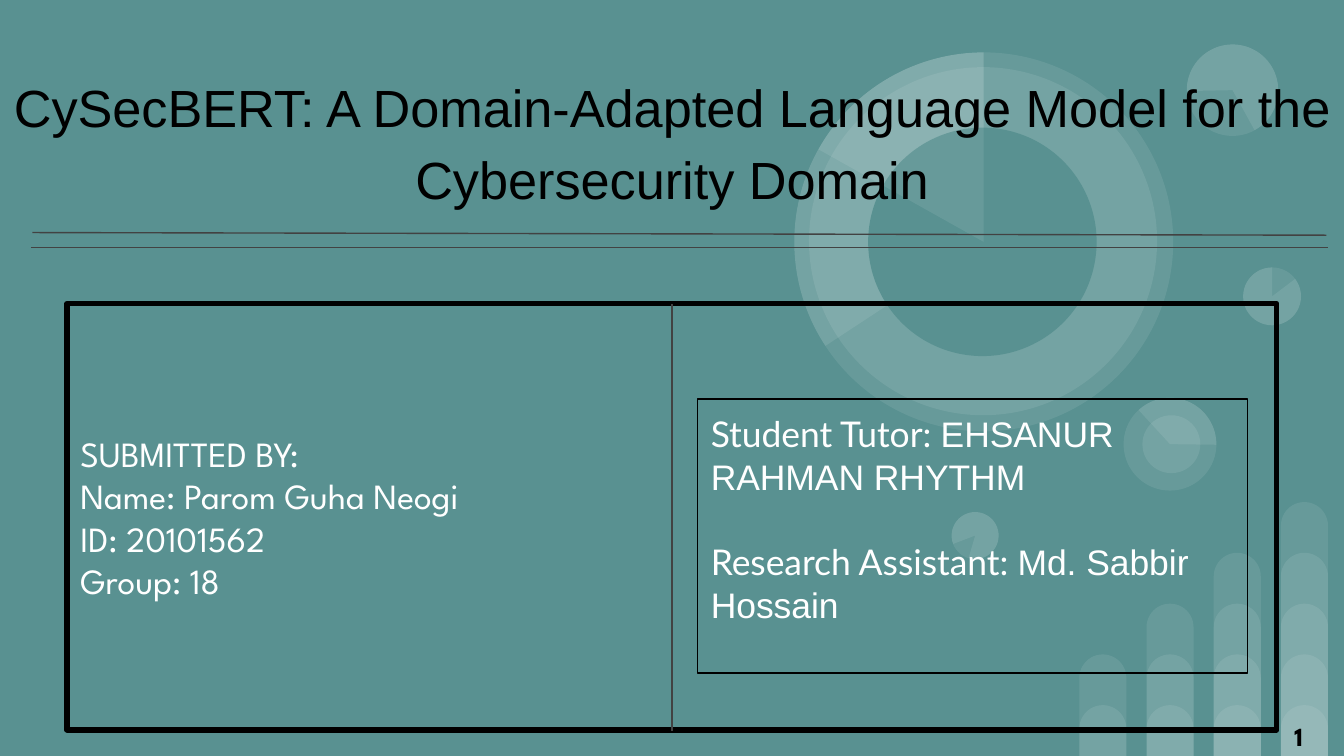
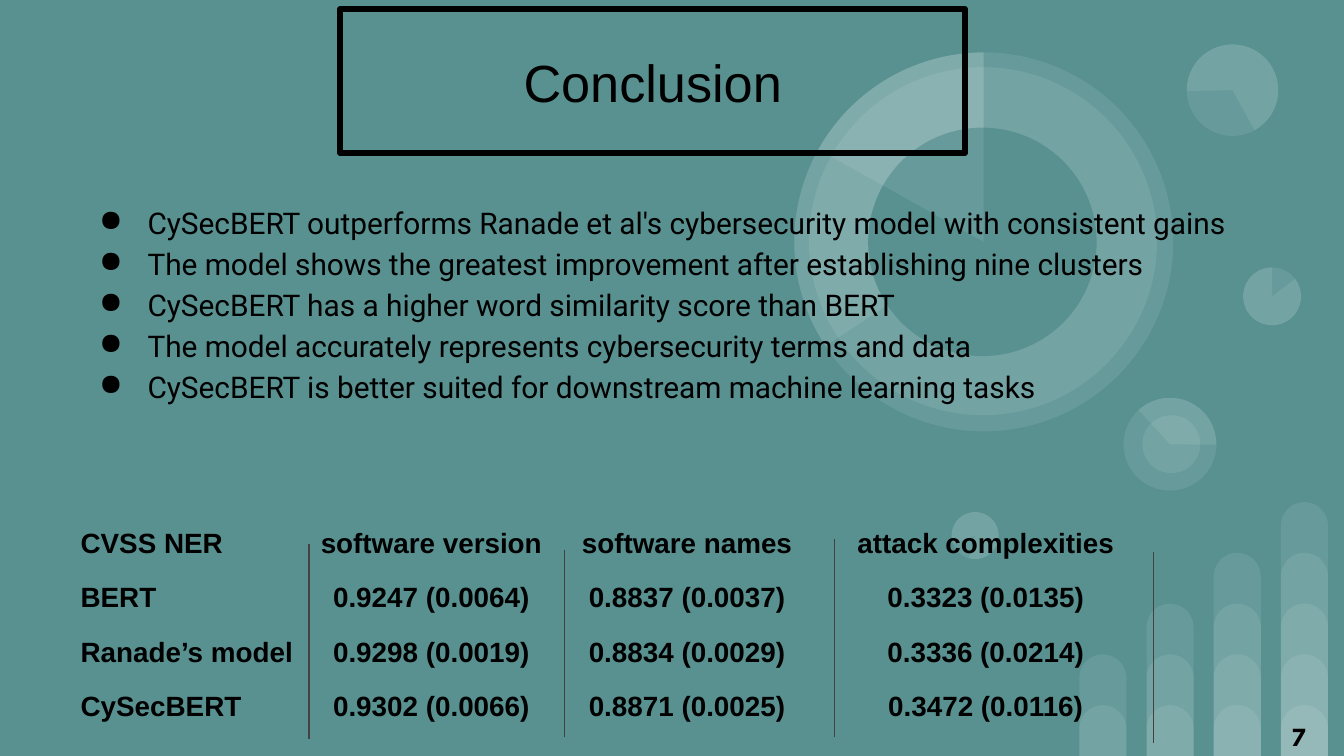
import pptx
import pptx.chart.data
import pptx.dml.color
import pptx.enum.shapes
import pptx.enum.text
import pptx.oxml
import pptx.oxml.ns
import pptx.util
from lxml import etree

Pt = pptx.util.Pt
SHAPE = pptx.enum.shapes.MSO_SHAPE
ALIGN = pptx.enum.text.PP_ALIGN
ANCHOR = pptx.enum.text.MSO_ANCHOR
RGB = pptx.dml.color.RGBColor.from_string
qn = pptx.oxml.ns.qn

COLORS = {"teal": "599191", "white": "FFFFFF", "black": "000000", "rule": "424242"}
TITLE = {"name": "Arial", "size": Pt(28)}
CREDIT = {"name": "League Spartan", "size": Pt(19)}
TUTOR = {"name": "Lato", "size": Pt(19)}
PAGE_NUMBER = {"name": "League Spartan", "size": Pt(14), "bold": True}
FINDING = {"name": "Roboto", "size": Pt(16)}
SCORE = {"name": "Arial", "size": Pt(14.9), "bold": True}
PAGE_NUMBER_BOX = (682, 378.7, 27.4, 31.7)


def add_text(slide, box, paragraphs, font, color="black", outline=None,
             align=ALIGN.LEFT, anchor=ANCHOR.MIDDLE, **spacing):
    """Add a text box; each paragraph is a list of (text, font changes) runs."""
    text_box = slide.shapes.add_textbox(*map(Pt, box))
    if outline:
        text_box.line.color.rgb = RGB(COLORS["black"])
        text_box.line.width = Pt(outline)
    frame = text_box.text_frame
    frame.word_wrap = True
    frame.vertical_anchor = anchor
    for side in ("left", "top", "right", "bottom"):
        setattr(frame, f"margin_{side}", Pt(7.2))
    for index, runs in enumerate(paragraphs):
        paragraph = frame.add_paragraph() if index else frame.paragraphs[0]
        paragraph.alignment = align
        for key, value in spacing.items():
            setattr(paragraph, key, value)
        for text, changes in runs:
            run = paragraph.add_run()
            run.text = text
            run.font.color.rgb = RGB(COLORS[color])
            for key, value in {**font, **changes}.items():
                setattr(run.font, key, value)
    return frame


def add_rule(slide, x1, y1, x2, y2):
    rule = slide.shapes.add_connector(
        pptx.enum.shapes.MSO_CONNECTOR.STRAIGHT, Pt(x1), Pt(y1), Pt(x2), Pt(y2))
    rule.line.color.rgb = RGB(COLORS["rule"])
    rule.line.width = Pt(0.75)
    etree.SubElement(rule.element.spPr, qn("a:effectLst"))


prs = pptx.Presentation()
prs.slide_width, prs.slide_height = Pt(720), Pt(405)
blank = prs.slide_layouts[6]
cover = prs.slides.add_slide(blank)
conclusion = prs.slides.add_slide(blank)

# Shared backdrop: drawn once, then moved to the master
master = prs.slide_master
master.background.fill.solid()
master.background.fill.fore_color.rgb = RGB(COLORS["teal"])

bars = cover.shapes.add_group_shape()
for column in range(4):
    for level in range(1, column + 3):
        height = 27.2 * level
        bar = bars.shapes.add_shape(
            SHAPE.ROUND_2_SAME_RECTANGLE,
            Pt(578.2 + 36 * column), Pt(405 - height), Pt(25.2), Pt(height))
        bar.adjustments[0] = 0.5

ring = (425.5, 28.1, 203, 0)
ring_hole = (465.1, 68.4, 122.4, 34.1)
right_disc = (666, 143.3, 31, 0)
low_disc = (509.8, 274.3, 25.2, 196.2)
small_ring = (601.9, 213.1, 49.7, 90)
top_disc = (635.8, 23.8, 49, 215.9)
# Each disc is a full circle, or a wedge between two angles in degrees
discs = [
    (right_disc, None), (right_disc, (322.95, 270)),
    (low_disc, None), (low_disc, (322.95, 270)),
    (small_ring, None), (small_ring, (137.41, 270.77)),
    ((612, 222.5, 31, 90), None),
    (top_disc, None), (top_disc, (322.95, 205.23)),
    (ring, None), ((433.4, 36, 186.5, 34.1), None), (ring, (146.69, 270)),
    (ring_hole, None), (ring, (209.24, 270)),
]
circles = cover.shapes.add_group_shape()
for (left, top, size, rotation), wedge in discs:
    disc = circles.shapes.add_shape(SHAPE.PIE if wedge else SHAPE.OVAL,
                                    Pt(left), Pt(top), Pt(size), Pt(size))
    disc.rotation = rotation
    for index, angle in enumerate(wedge or ()):
        disc.adjustments[index] = angle * 0.6
    if (left, top, size, rotation) == ring_hole:
        disc.fill.solid()
        disc.fill.fore_color.rgb = RGB(COLORS["teal"])

for group in (bars, circles):
    for part in group.shapes:
        part.shadow.inherit = False
        part.line.fill.background()
        if part.fill.type is None:
            part.fill.solid()
            part.fill.fore_color.rgb = RGB(COLORS["white"])
            tint = part.element.spPr.find(".//" + qn("a:srgbClr"))
            etree.SubElement(tint, qn("a:alpha")).set("val", "9000")
    master.shapes.element.append(group.element)
for number, properties in enumerate(master.shapes.element.iter(qn("p:cNvPr")), 1):
    properties.set("id", str(number))

# Cover
add_text(cover, (0, 0, 720, 147.6),
         [[("CySecBERT: A Domain-Adapted Language Model for the Cybersecurity Domain", {})]],
         TITLE, align=ALIGN.CENTER, line_spacing=1.15)
credits = ["SUBMITTED BY:", "Name: Parom Guha Neogi", "ID: 20101562", "Group: 18"]
add_text(cover, (36, 162.7, 648, 228.3), [[(line, {})] for line in credits],
         CREDIT, "white", outline=3)
add_rule(cover, 17.3, 124.6, 710.6, 126)
add_rule(cover, 16.6, 132.5, 711.4, 132.5)
add_text(cover, PAGE_NUMBER_BOX, [[("1", {})]], PAGE_NUMBER, align=ALIGN.CENTER)
add_rule(cover, 360, 162.7, 360, 391.7)
arial = {"name": "Arial"}
tutors = add_text(
    cover, (373.7, 213.8, 294.5, 146.9),
    [[("Student Tutor: ", {}), ("EHSANUR RAHMAN RHYTHM", arial)],
     [("Research Assistant: ", {}), ("Md. Sabbir Hossain", arial)]],
    TUTOR, "white", outline=0.75, anchor=ANCHOR.TOP)
tutors.paragraphs[1].space_before = Pt(23)

# Conclusion
add_text(conclusion, (182.2, 5, 334.8, 77), [[("Conclusion", {})]],
         TITLE, outline=3, align=ALIGN.CENTER)
findings = [
    "CySecBERT outperforms Ranade et al's cybersecurity model with consistent gains",
    "The model shows the greatest improvement after establishing nine clusters",
    "CySecBERT has a higher word similarity score than BERT",
    "The model accurately represents cybersecurity terms and data",
    "CySecBERT is better suited for downstream machine learning tasks",
]
finding_list = add_text(conclusion, (36, 99.4, 645.8, 125), [[(line, {})] for line in findings],
                        FINDING, anchor=ANCHOR.TOP, line_spacing=1.15)
for paragraph in finding_list.paragraphs:
    properties = paragraph._p.get_or_add_pPr()
    properties.set("marL", str(Pt(36)))
    properties.set("indent", str(Pt(-26)))
    bullet_color = etree.SubElement(properties, qn("a:buClr"))
    etree.SubElement(bullet_color, qn("a:srgbClr")).set("val", COLORS["black"])
    etree.SubElement(properties, qn("a:buChar")).set("char", "●")

scores = [
    ("CVSS NER", "software version", "software names", "attack complexities"),
    ("BERT", "0.9247 (0.0064)", "0.8837 (0.0037)", "0.3323 (0.0135)"),
    ("Ranade’s model", "0.9298 (0.0019)", "0.8834 (0.0029)", "0.3336 (0.0214)"),
    ("CySecBERT", "0.9302 (0.0066)", "0.8871 (0.0025)", "0.3472 (0.0116)"),
]
column_widths = (128, 134, 140, 180)
row_height = 29.1
score_frame = conclusion.shapes.add_table(
    len(scores), len(column_widths), Pt(36), Pt(276.9),
    Pt(sum(column_widths)), Pt(row_height * len(scores)))
score_table = score_frame.table
score_table.first_row = score_table.horz_banding = False
no_grid = "{2D5ABB26-0587-4C30-8999-92F81FD0307C}"
score_frame.element.find(".//" + qn("a:tableStyleId")).text = no_grid
for column, width in zip(score_table.columns, column_widths):
    column.width = Pt(width)
for row, values in zip(score_table.rows, scores):
    row.height = Pt(row_height)
    for index, (cell, value) in enumerate(zip(row.cells, values)):
        cell.fill.background()
        cell.vertical_anchor = ANCHOR.MIDDLE
        cell.margin_top = cell.margin_bottom = 0
        cell.text = value
        paragraph = cell.text_frame.paragraphs[0]
        paragraph.alignment = ALIGN.CENTER if index else ALIGN.LEFT
        font = paragraph.runs[0].font
        font.color.rgb = RGB(COLORS["black"])
        for key, setting in SCORE.items():
            setattr(font, key, setting)

for x, top, bottom in [(165.6, 291.6, 396), (302.4, 294.5, 394.6),
                       (447.1, 288.7, 394.6), (617.8, 295.9, 398.2)]:
    add_rule(conclusion, x, top, x, bottom)
add_text(conclusion, PAGE_NUMBER_BOX, [[("7", {})]], PAGE_NUMBER, align=ALIGN.CENTER)

prs.save("out.pptx")
